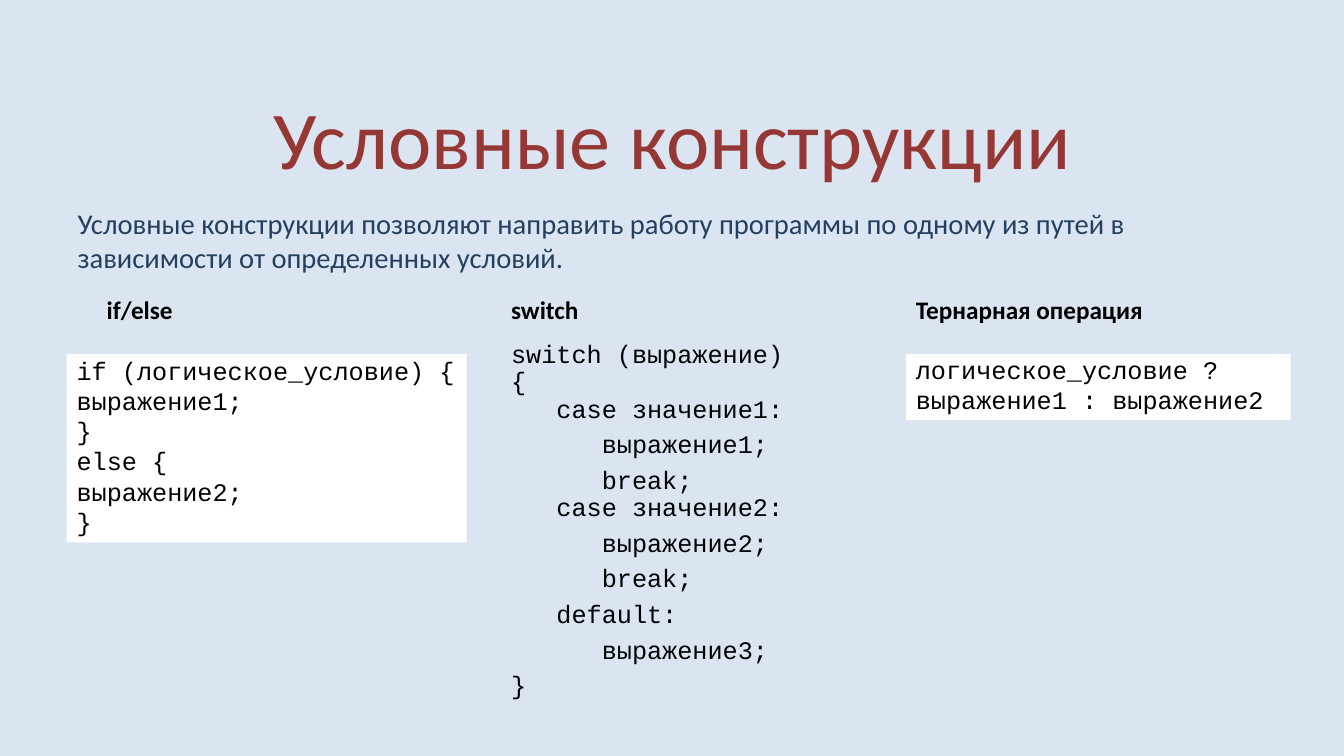
from typing import NamedTuple

from pptx import Presentation
from pptx.dml.color import RGBColor
from pptx.enum.shapes import MSO_SHAPE
from pptx.enum.text import MSO_ANCHOR as Anchor, MSO_AUTO_SIZE as AutoSize, PP_ALIGN as Align
from pptx.oxml.ns import qn
from pptx.util import Cm, Pt
from lxml.etree import SubElement

BACKGROUND = RGBColor(0xDB, 0xE5, 0xF1)
TITLE_RED = RGBColor(0x95, 0x37, 0x34)
BODY_BLUE = RGBColor(0x24, 0x40, 0x61)
BLACK = RGBColor(0x00, 0x00, 0x00)
CODE_INK = RGBColor(0x01, 0x02, 0x03)
WHITE = RGBColor(0xFF, 0xFF, 0xFF)

TITLE_FONT = {"name": "Calibri", "size": Pt(58.7), "color": TITLE_RED}
BODY_FONT = {"name": "Calibri", "size": Pt(20.4), "color": BODY_BLUE}
HEADING_FONT = {"name": "Calibri", "size": Pt(18), "bold": True, "color": BLACK}
CODE_FONT = {"name": "Courier New", "size": Pt(18), "color": CODE_INK}

IF_CODE = ["if (логическое_условие) {", "выражение1;", "}", "else {", "выражение2;", "}"]
SWITCH_CODE = [
    "switch (выражение)\n{\n   case значение1:",
    "      выражение1;",
    "      break;\n   case значение2:",
    "      выражение2;",
    "      break;",
    "   default:",
    "      выражение3;",
    "}",
]
TERNARY_CODE = ["логическое_условие ?", "выражение1 : выражение2"]


class Box(NamedTuple):
    """Left, top, width and height in centimetres."""
    left: float
    top: float
    width: float
    height: float

    def lengths(self):
        return [Cm(value) for value in self]


def place(shape, box):
    shape.left, shape.top, shape.width, shape.height = box.lengths()


def write(frame, lines, font, **paragraph_format):
    """Fill a frame with one paragraph per line; a newline inside a line breaks it."""
    space_before = paragraph_format.pop("space_before", Pt(0))
    for number, line in enumerate(lines):
        para = frame.add_paragraph() if number else frame.paragraphs[0]
        para.text = line
        para.space_before = space_before if number else Pt(0)
        for name, value in paragraph_format.items():
            setattr(para, name, value)
        for span in para.runs:
            for name, value in font.items():
                if name == "color":
                    span.font.color.rgb = value
                else:
                    setattr(span.font, name, value)


def add_title(page, box, text):
    title = page.shapes.title
    place(title, box)
    frame = title.text_frame
    frame.auto_size, frame.vertical_anchor = AutoSize.NONE, Anchor.MIDDLE
    write(frame, [text], TITLE_FONT, alignment=Align.CENTER)


def add_introduction(page, box, text):
    body = page.placeholders[1]
    place(body, box)
    frame = body.text_frame
    frame.auto_size, frame.vertical_anchor = AutoSize.NONE, Anchor.TOP
    properties = frame.paragraphs[0]._p.get_or_add_pPr()
    properties.set("marL", "0")
    properties.set("indent", "0")
    SubElement(properties, qn("a:buNone"))
    write(frame, [text], BODY_FONT)


def add_text(page, box, lines, font, **paragraph_format):
    frame = page.shapes.add_textbox(*box.lengths()).text_frame
    frame.word_wrap = True
    write(frame, lines, font, line_spacing=0.9, **paragraph_format)


def add_code_panel(page, box, lines):
    panel = page.shapes.add_shape(MSO_SHAPE.RECTANGLE, *box.lengths())
    panel.shadow.inherit = False
    panel.fill.solid()
    panel.fill.fore_color.rgb = WHITE
    panel.line.fill.background()
    frame = panel.text_frame
    settings = {
        "word_wrap": False,
        "auto_size": AutoSize.SHAPE_TO_FIT_TEXT,
        "vertical_anchor": Anchor.MIDDLE,
        "margin_left": Cm(0.25),
        "margin_right": Cm(0.25),
        "margin_top": Cm(0),
        "margin_bottom": Cm(0.13),
    }
    for name, value in settings.items():
        setattr(frame, name, value)
    write(frame, lines, CODE_FONT, alignment=Align.LEFT)


def add_column(page, box, heading, code, heading_indent=0.0, panel=True):
    """Heading at the top of the box, code below it on a white panel or bare."""
    heading_box = Box(box.left + heading_indent, box.top, 9.32, 1.55)
    add_text(page, heading_box, [heading], HEADING_FONT)
    if panel:
        panel_height = 0.13 + 0.77 * len(code)
        add_code_panel(page, Box(box.left, box.top + 1.55, box.width, panel_height), code)
    else:
        code_box = Box(box.left, box.top + 1.12, box.width, box.height - 1.12)
        add_text(page, code_box, code, CODE_FONT, space_before=Pt(6))


def build_conditions_slide(deck):
    page = deck.slides.add_slide(deck.slide_layouts[1])
    page.background.fill.solid()
    page.background.fill.fore_color.rgb = BACKGROUND
    add_title(page, Box(1.7, 1.85, 30.48, 3.18), "Условные конструкции")
    add_introduction(
        page, Box(1.7, 5.05, 30.48, 1.73),
        "Условные конструкции позволяют направить работу программы "
        "по одному из путей в зависимости от определенных условий.")
    top, height = 7.37, 10.11
    add_column(page, Box(1.68, top, 10.08, height), "if/else", IF_CODE, heading_indent=0.76)
    add_column(page, Box(12.63, top, 9.6, height), "switch", SWITCH_CODE, panel=False)
    add_column(page, Box(22.83, top, 9.7, height), "Тернарная операция", TERNARY_CODE)


def main():
    deck = Presentation()
    deck.slide_width, deck.slide_height = Cm(33.87), Cm(19.05)
    build_conditions_slide(deck)
    deck.save("out.pptx")


if __name__ == "__main__":
    main()
